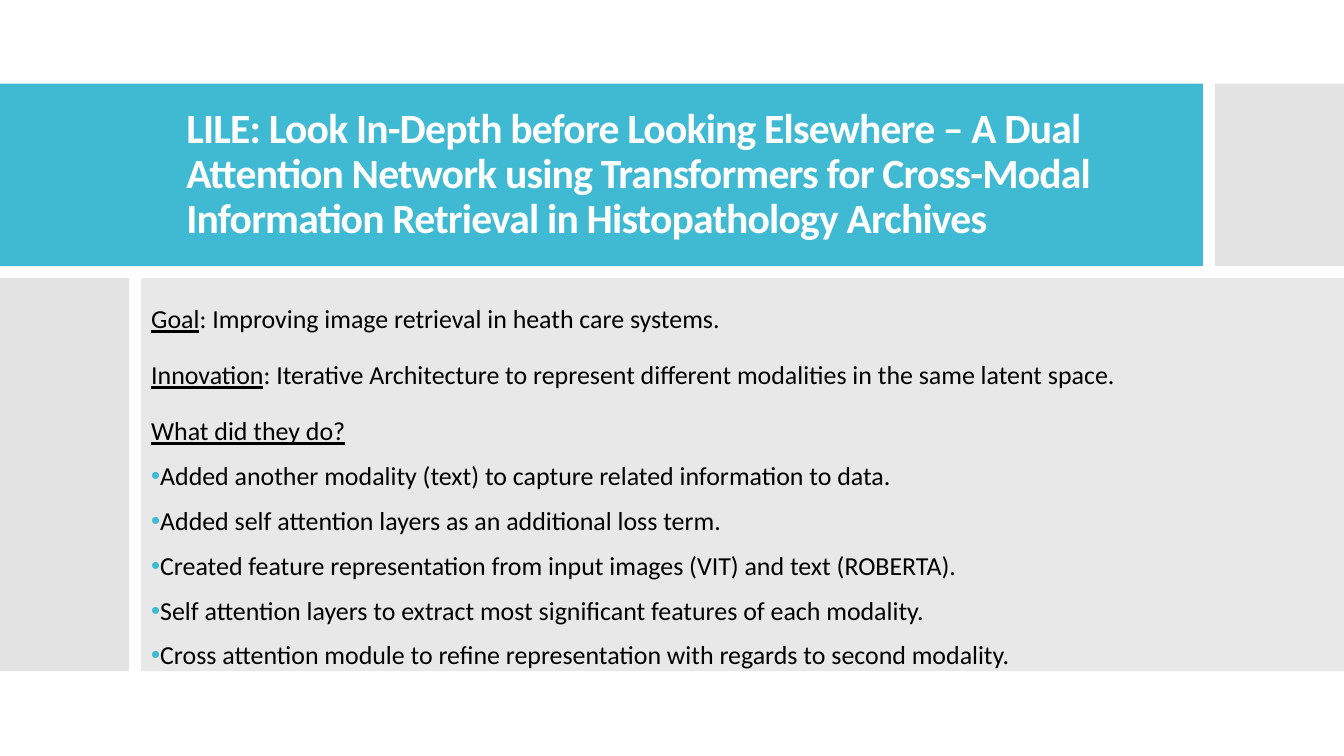
import pptx
import pptx.dml.color
import pptx.enum.shapes
import pptx.enum.text
import pptx.oxml
import pptx.oxml.ns
import pptx.util

WIDTH, HEIGHT = 13.33, 7.5
FONT = "Calibri"
TEAL, BLACK, WHITE = "40BAD2", "000000", "FFFFFF"

TITLE_LINES = [
    "LILE: Look In-Depth before Looking Elsewhere – A Dual",
    "Attention Network using Transformers for Cross-Modal",
    "Information Retrieval in Histopathology Archives",
]
TOPICS = [
    ("Goal", ": Improving image retrieval in heath care systems."),
    ("Innovation", ": Iterative Architecture to represent different modalities in the same latent space."),
    ("What did they do?", ""),
]
STEPS = [
    "Added another modality (text) to capture related information to data.",
    "Added self attention layers as an additional loss term.",
    "Created feature representation from input images (VIT) and text (ROBERTA).",
    "Self attention layers to extract most significant features of each modality.",
    "Cross attention module to refine representation with regards to second modality.",
]

# Two bands of panels, parted by one gap
GAP = 0.12
TOP, BOTTOM = 0.83, 6.66
BAND_HEIGHT = 1.81
BODY_TOP = TOP + BAND_HEIGHT + GAP
TITLE_WIDTH, SIDE_WIDTH = 11.93, 1.28
BODY_LEFT = SIDE_WIDTH + GAP
CORNER_LEFT = TITLE_WIDTH + GAP
BODY_HEIGHT = BOTTOM - BODY_TOP
PANELS = [
    # left, top, width, height, colour, opacity in percent
    (0, TOP, TITLE_WIDTH, BAND_HEIGHT, TEAL, 100),
    (CORNER_LEFT, TOP, WIDTH - CORNER_LEFT, BAND_HEIGHT, "C8C8C8", 50),
    (0, BODY_TOP, SIDE_WIDTH, BODY_HEIGHT, "C8C8C8", 50),
    (BODY_LEFT, BODY_TOP, WIDTH - BODY_LEFT, BODY_HEIGHT, "D9D9D9", 60),
]


def rgb(colour):
    return pptx.dml.color.RGBColor.from_string(colour)


def add_panel(slide, left, top, width, height, colour, opacity):
    box = [pptx.util.Inches(length) for length in (left, top, width, height)]
    shape = slide.shapes.add_shape(pptx.enum.shapes.MSO_SHAPE.RECTANGLE, *box)
    shape.shadow.inherit = False
    shape.line.fill.background()
    shape.fill.solid()
    shape.fill.fore_color.rgb = rgb(colour)
    if opacity < 100:
        colour_element = shape.fill._xPr.find(".//" + pptx.oxml.ns.qn("a:srgbClr"))
        alpha = pptx.oxml.parse_xml(f'<a:alpha {pptx.oxml.ns.nsdecls("a")} val="{opacity * 1000}"/>')
        colour_element.append(alpha)


def add_text_frame(slide, left, top, width, height, margin=0.0, anchor="TOP"):
    box = [pptx.util.Inches(length) for length in (left, top, width, height)]
    frame = slide.shapes.add_textbox(*box).text_frame
    frame.word_wrap = True
    frame.vertical_anchor = pptx.enum.text.MSO_ANCHOR[anchor]
    frame.margin_left = frame.margin_right = pptx.util.Inches(margin)
    frame.margin_top = frame.margin_bottom = 0
    return frame


def next_paragraph(frame, space_before=0.0):
    """Return the empty first paragraph, or a new one after the last."""
    first = frame.paragraphs[0]
    paragraph = frame.add_paragraph() if first.runs else first
    paragraph.line_spacing = 0.9
    paragraph.space_before = pptx.util.Pt(space_before)
    return paragraph


def add_run(paragraph, text, size=18.5, colour=BLACK, bold=False, underline=False, spacing=0.0):
    run = paragraph.add_run()
    run.text = text
    run.font.name = FONT
    run.font.size = pptx.util.Pt(size)
    run.font.color.rgb = rgb(colour)
    run.font.bold = bold
    run.font.underline = underline
    if spacing:
        run.font._element.set("spc", str(round(spacing * 100)))


def add_bullet(paragraph):
    properties = paragraph._p.get_or_add_pPr()
    properties.set("marL", "0")
    properties.set("indent", str(-pptx.util.Inches(0.2)))
    namespace = pptx.oxml.ns.nsdecls("a")
    for xml in (
        f'<a:buClr {namespace}><a:srgbClr val="{TEAL}"/></a:buClr>',
        f'<a:buFont {namespace} typeface="Arial"/>',
        f'<a:buChar {namespace} char="•"/>',
    ):
        properties.append(pptx.oxml.parse_xml(xml))


def main():
    presentation = pptx.Presentation()
    presentation.slide_width = pptx.util.Inches(WIDTH)
    presentation.slide_height = pptx.util.Inches(HEIGHT)
    slide = presentation.slides.add_slide(presentation.slide_layouts[6])

    for panel in PANELS:
        add_panel(slide, *panel)

    title = add_text_frame(slide, 1.75, TOP, 9.82, BAND_HEIGHT, margin=0.1, anchor="MIDDLE")
    paragraph = next_paragraph(title)
    for number, line in enumerate(TITLE_LINES):
        if number:
            paragraph.add_line_break()
        add_run(paragraph, line, size=29.7, colour=WHITE, bold=True, spacing=-0.6)

    body = add_text_frame(slide, BODY_LEFT + 0.1, 3.04, 10, BOTTOM - 3.04)
    for number, (heading, detail) in enumerate(TOPICS):
        paragraph = next_paragraph(body, space_before=20 if number else 0)
        add_run(paragraph, heading, underline=True)
        if detail:
            add_run(paragraph, detail)
    for step in STEPS:
        paragraph = next_paragraph(body, space_before=12)
        add_bullet(paragraph)
        add_run(paragraph, step)

    presentation.save("out.pptx")


if __name__ == "__main__":
    main()
